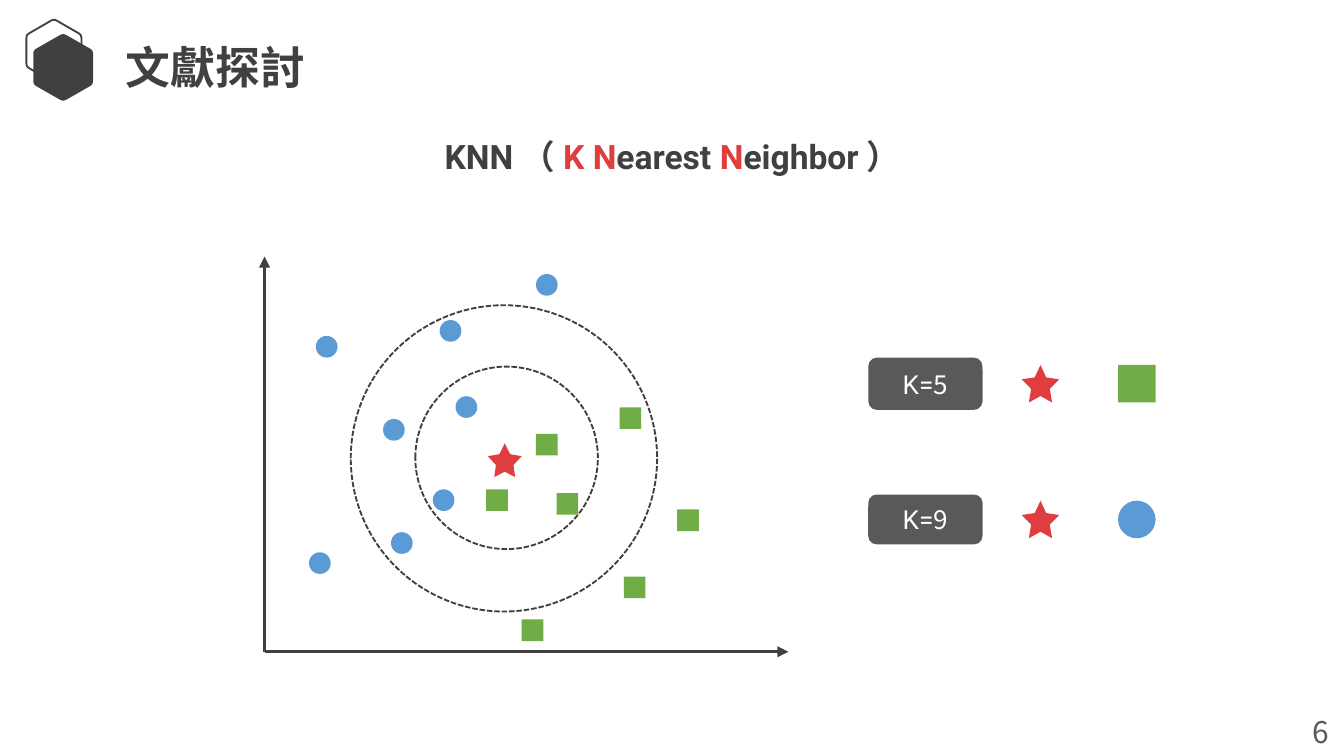
from lxml import etree
from pptx import Presentation
from pptx.dml.color import RGBColor
from pptx.enum.dml import MSO_LINE
from pptx.enum.shapes import MSO_CONNECTOR, MSO_SHAPE as Shape
from pptx.enum.text import MSO_ANCHOR as Anchor, MSO_AUTO_SIZE as AutoSize, PP_ALIGN as Align
from pptx.oxml.ns import qn
from pptx.util import Cm, Pt

COLORS = {
    "ink": "404040", "label": "595959", "red": "E03E3E",
    "blue": "5B9BD5", "green": "70AD47", "white": "FFFFFF",
}
CJK, LATIN = "Noto Sans CJK JP", "Roboto"
DOT = 0.41
CIRCLES = [(0.97, 1.5), (2.24, 3.07), (3.61, 2.64), (3.18, 4.4),
           (0.84, 5.59), (5.13, 0.33), (3.31, 1.2), (2.39, 5.21)]
SQUARES = [(4.19, 4.4), (5.13, 3.35), (6.79, 6.05), (5.52, 4.47),
           (6.71, 2.85), (7.8, 4.78), (4.86, 6.86)]
RINGS = [(2.85, 2.08, 3.45), (1.63, 0.92, 5.79)]
HEXAGON = [(0.5, 0), (1, 0.25), (1, 0.75), (0.5, 1), (0, 0.75), (0, 0.25)]


def rgb(name):
    return RGBColor.from_string(COLORS[name])


def apply(target, settings):
    for key, value in settings.items():
        setattr(target, key, value)


def paint(shape, fill=None, line=None):
    shape.shadow.inherit = False
    if fill:
        shape.fill.solid()
        shape.fill.fore_color.rgb = rgb(fill)
    else:
        shape.fill.background()
    if line:
        shape.line.color.rgb = rgb(line)
        shape.line.width = Pt(1)
    else:
        shape.line.fill.background()
    return shape


def mark(slide, kind, left, top, width, height, fill=None, line=None):
    shape = slide.shapes.add_shape(kind, Cm(left), Cm(top), Cm(width), Cm(height))
    return paint(shape, fill, line)


def star(slide, left, top, size, depth):
    mark(slide, Shape.STAR_5_POINT, left, top, size, size, "red").adjustments[0] = depth


def write(frame, runs, font, align=Align.LEFT, **settings):
    apply(frame, {"word_wrap": True, "auto_size": AutoSize.SHAPE_TO_FIT_TEXT, **settings})
    paragraph = frame.paragraphs[0]
    paragraph.alignment = align
    for text, face, color in runs:
        run = paragraph.add_run()
        run.text = text
        apply(run.font, {"name": face, **font})
        run.font.color.rgb = rgb(color)
        east_asian = etree.Element(qn("a:ea"), typeface=CJK)
        run.font._element.find(qn("a:latin")).addnext(east_asian)


def textbox(slide, left, top, width, height):
    return slide.shapes.add_textbox(Cm(left), Cm(top), Cm(width), Cm(height)).text_frame


def hexagon(slide, left, top, width, height, fill=None, line=None):
    points = []
    for i, corner in enumerate(HEXAGON):
        before, after = HEXAGON[i - 1], HEXAGON[(i + 1) % 6]
        for step in range(5):
            t = step / 4
            back, ahead = 0.1 * (1 - t) ** 2, 0.1 * t ** 2
            x, y = (c + back * (b - c) + ahead * (a - c)
                    for b, c, a in zip(before, corner, after))
            points.append((Cm(left + x * width), Cm(top + y * height)))
    builder = slide.shapes.build_freeform(*points[0])
    builder.add_line_segments(points[1:], close=True)
    paint(builder.convert_to_shape(), fill, line)


def arrow(slide, start, end):
    axis = slide.shapes.add_connector(
        MSO_CONNECTOR.STRAIGHT, *(Cm(value) for value in start + end))
    axis.line.color.rgb = rgb("ink")
    axis.line.width = Pt(1.5)
    etree.SubElement(axis.line._get_or_add_ln(), qn("a:tailEnd"), type="triangle")
    etree.SubElement(axis._element.spPr, qn("a:effectLst"))


def header(slide, left, top):
    hexagon(slide, left, top, 1.04, 1.2, line="ink")
    hexagon(slide, left + 0.13, top + 0.27, 1.13, 1.29, fill="ink")
    margins = {"margin_left": Cm(0.18), "margin_right": Cm(0.18),
               "margin_top": Cm(0.1), "margin_bottom": Cm(0.1)}
    write(textbox(slide, left + 1.7, top + 0.3, 4.5, 1.22),
          [("文獻探討", CJK, "ink")], {"size": Pt(24), "bold": True}, **margins)


def subtitle(slide, left, top, width, height):
    runs = [("KNN", LATIN, "ink"), ("（", CJK, "ink"), ("K N", LATIN, "red"),
            ("earest ", LATIN, "ink"), ("N", LATIN, "red"),
            ("eighbor", LATIN, "ink"), ("）", CJK, "ink")]
    write(textbox(slide, left, top, width, height), runs,
          {"size": Pt(18), "bold": True}, Align.CENTER, vertical_anchor=Anchor.MIDDLE)


def scatter(slide, left, top, width, height):
    for x, y, size in RINGS:
        ring = mark(slide, Shape.OVAL, left + x, top + y, size, size, line="ink")
        ring.line.dash_style = MSO_LINE.SQUARE_DOT
    origin = (left, top + height)
    arrow(slide, origin, (left + width, top + height))
    arrow(slide, origin, (left, top))
    for kind, color, places in ((Shape.OVAL, "blue", CIRCLES),
                                (Shape.RECTANGLE, "green", SQUARES)):
        for x, y in places:
            mark(slide, kind, left + x, top + y, DOT, DOT, color)
    star(slide, left + 4.22, top + 3.53, 0.64, 0.258)


def vote(slide, left, top, height, k, kind, color):
    label = mark(slide, Shape.ROUNDED_RECTANGLE, left, top, 2.16, height, "label")
    write(label.text_frame, [("K=", LATIN, "white"), (k, CJK, "white")],
          {"size": Pt(14)}, Align.CENTER, vertical_anchor=Anchor.MIDDLE)
    size = 0.71
    icon_top = top + (height - size) / 2
    star(slide, left + 2.9, icon_top, size, 0.248)
    mark(slide, kind, left + 4.72, icon_top, size, size, color)


def page_number(slide, left, top, width, height):
    write(textbox(slide, left, top, width, height), [("6", CJK, "label")],
          {"size": Pt(16)}, word_wrap=False)


def main():
    deck = Presentation()
    apply(deck, {"slide_width": Cm(25.4), "slide_height": Cm(14.29)})
    slide = deck.slides.add_slide(deck.slide_layouts[6])
    header(slide, 0.5, 0.36)
    subtitle(slide, 5.26, 2.44, 14.9, 1.02)
    scatter(slide, 5, 4.85, 9.9, 7.47)
    vote(slide, 16.41, 6.76, 0.99, "5", Shape.RECTANGLE, "green")
    vote(slide, 16.41, 9.35, 0.94, "9", Shape.OVAL, "blue")
    page_number(slide, 24.56, 13.36, 0.84, 0.94)
    deck.save("out.pptx")


if __name__ == "__main__":
    main()
